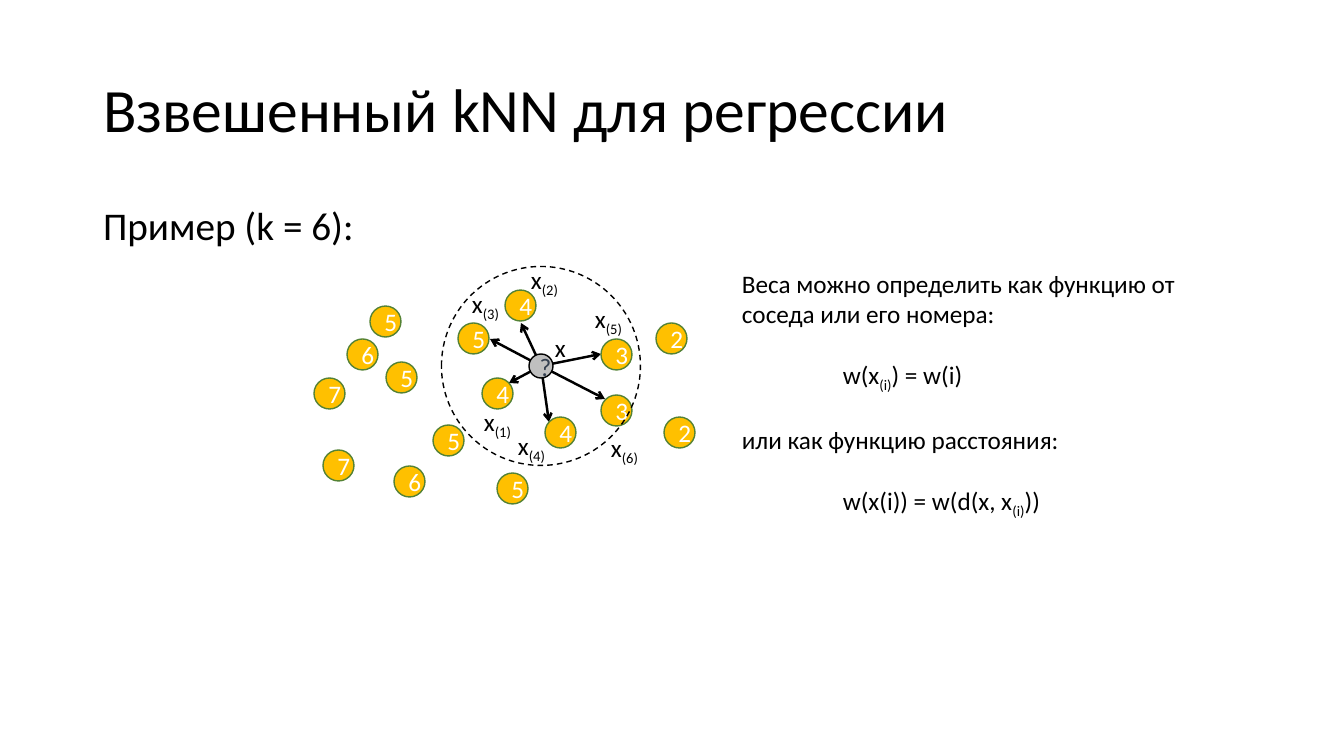
"""Build the slide on weighted kNN regression."""
import pptx
import pptx.dml.color
import pptx.enum.dml
import pptx.enum.shapes
import pptx.enum.text
import pptx.util
from lxml import etree

RGBColor = pptx.dml.color.RGBColor
ANCHOR = pptx.enum.text.MSO_ANCHOR
ALIGN = pptx.enum.text.PP_ALIGN
AUTO_SIZE = pptx.enum.text.MSO_AUTO_SIZE
OVAL = pptx.enum.shapes.MSO_SHAPE.OVAL
STRAIGHT = pptx.enum.shapes.MSO_CONNECTOR.STRAIGHT
DASH = pptx.enum.dml.MSO_LINE.DASH

BLACK = RGBColor(0, 0, 0)
WHITE = RGBColor(255, 255, 255)
AMBER = RGBColor(0xFF, 0xC0, 0x00)
GREEN = RGBColor(0x54, 0x82, 0x35)
GREY = RGBColor(0xBF, 0xBF, 0xBF)
SLATE = RGBColor(0x33, 0x3F, 0x50)

TITLE = ("Взвешенный kNN для регрессии", (93, 40, 1159, 146))
EXAMPLE = ("Пример (k = 6):", (93, 202, 1159, 480))
POINTS = [
    ("6", 347, 339), ("5", 370, 306), ("5", 386, 362), ("5", 458, 323),
    ("4", 505, 290), ("4", 482, 378), ("7", 323, 450), ("7", 314, 378),
    ("3", 601, 395), ("3", 601, 339), ("2", 656, 323), ("2", 664, 417),
    ("5", 497, 473), ("5", 433, 425), ("6", 394, 466), ("4", 545, 417),
]
NEIGHBOURS = [
    ("(1)", (474, 401), (509, 383)),
    ("(2)", (521, 259), (521, 323)),
    ("(3)", (462, 283), (490, 339)),
    ("(4)", (508, 425), (549, 422)),
    ("(5)", (585, 298), (601, 354)),
    ("(6)", (601, 427), (605, 399)),
]
QUERY_LABEL = (545, 327, 24, 40)
WEIGHTS_BOX = (732, 263, 457, 254)
WEIGHTS = [
    (0, ["Веса можно определить как функцию от соседа или его номера:"]),
    (101, ["w(x", "(i)", ") = w(i)"]),
    (0, ["или как функцию расстояния:"]),
    (101, ["w(x(i)) = w(d(x, x", "(i)", "))"]),
]
CENTRE = (541, 366)
POINT_SIZE = 31
QUERY_SIZE = 24
CIRCLE_SIZE = 199
LABEL_SIZE = (55, 40)
SCALE = 914400 / 100.8


def px(*lengths):
    return [pptx.util.Emu(round(length * SCALE)) for length in lengths]


def write(shape, paragraphs, size=18, color=BLACK, align=ALIGN.LEFT, anchor=ANCHOR.TOP,
          auto_size=AUTO_SIZE.NONE, spacing=1.0, gap=0):
    """Fill a shape with (indent, runs) paragraphs; every second run is a subscript."""
    frame = shape.text_frame
    frame.word_wrap = True
    frame.auto_size = auto_size
    frame.vertical_anchor = anchor
    for index, (indent, runs) in enumerate(paragraphs):
        paragraph = frame.add_paragraph() if index else frame.paragraphs[0]
        properties = paragraph._p.get_or_add_pPr()
        properties.set("marL", str(px(indent)[0]))
        properties.set("indent", "0")
        etree.SubElement(properties, pptx.oxml.ns.qn("a:buNone"))
        paragraph.alignment = align
        paragraph.line_spacing = spacing
        paragraph.space_before = pptx.util.Pt(gap if index else 0)
        for position, text in enumerate(runs):
            run = paragraph.add_run()
            run.text = text
            run.font.name = "Calibri"
            run.font.size = pptx.util.Pt(size)
            run.font.color.rgb = color
            if position % 2:
                run._r.get_or_add_rPr().set("baseline", "-25000")


def add_circle(shapes, left, top, size, line, fill=None, dash=None):
    circle = shapes.add_shape(OVAL, *px(left, top, size, size))
    circle.shadow.inherit = False
    if fill is None:
        circle.fill.background()
    else:
        circle.fill.solid()
        circle.fill.fore_color.rgb = fill
    circle.line.color.rgb = line
    circle.line.width = pptx.util.Pt(1)
    if dash:
        circle.line.dash_style = dash
    return circle


def add_centred_circle(shapes, size, **look):
    left, top = (middle - size / 2 for middle in CENTRE)
    return add_circle(shapes, left, top, size, BLACK, **look)


def add_arrow(shapes, start, end):
    arrow = shapes.add_connector(STRAIGHT, *px(*start, *end))
    arrow.line.color.rgb = BLACK
    arrow.line.width = pptx.util.Pt(1.75)
    etree.SubElement(arrow.line._get_or_add_ln(), pptx.oxml.ns.qn("a:tailEnd"), type="arrow")
    etree.SubElement(arrow._element.spPr, pptx.oxml.ns.qn("a:effectLst"))


def write_mark(circle, text, color):
    write(circle, [(0, [text])], color=color, align=ALIGN.CENTER, anchor=ANCHOR.MIDDLE)


def add_text(shapes, box, paragraphs, **text_format):
    write(shapes.add_textbox(*px(*box)), paragraphs,
          auto_size=AUTO_SIZE.SHAPE_TO_FIT_TEXT, **text_format)


def fill_placeholder(placeholder, content, **text_format):
    text, box = content
    placeholder.left, placeholder.top, placeholder.width, placeholder.height = px(*box)
    write(placeholder, [(0, [text])], spacing=0.9, **text_format)


def main():
    presentation = pptx.Presentation()
    presentation.slide_width, presentation.slide_height = px(1344, 756)
    slide = presentation.slides.add_slide(presentation.slide_layouts[1])
    shapes = slide.shapes

    fill_placeholder(shapes.title, TITLE, size=44, anchor=ANCHOR.MIDDLE)
    fill_placeholder(slide.placeholders[1], EXAMPLE, size=28)

    for number, label_corner, target in NEIGHBOURS:
        add_arrow(shapes, CENTRE, target)
    for value, left, top in POINTS:
        write_mark(add_circle(shapes, left, top, POINT_SIZE, GREEN, AMBER), value, WHITE)
    write_mark(add_centred_circle(shapes, QUERY_SIZE, fill=GREY), "?", SLATE)
    add_centred_circle(shapes, CIRCLE_SIZE, dash=DASH)

    add_text(shapes, QUERY_LABEL, [(0, ["x"])])
    for number, label_corner, target in NEIGHBOURS:
        add_text(shapes, label_corner + LABEL_SIZE, [(0, ["x", number])])
    add_text(shapes, WEIGHTS_BOX, WEIGHTS, gap=22)
    presentation.save("out.pptx")


if __name__ == "__main__":
    main()
